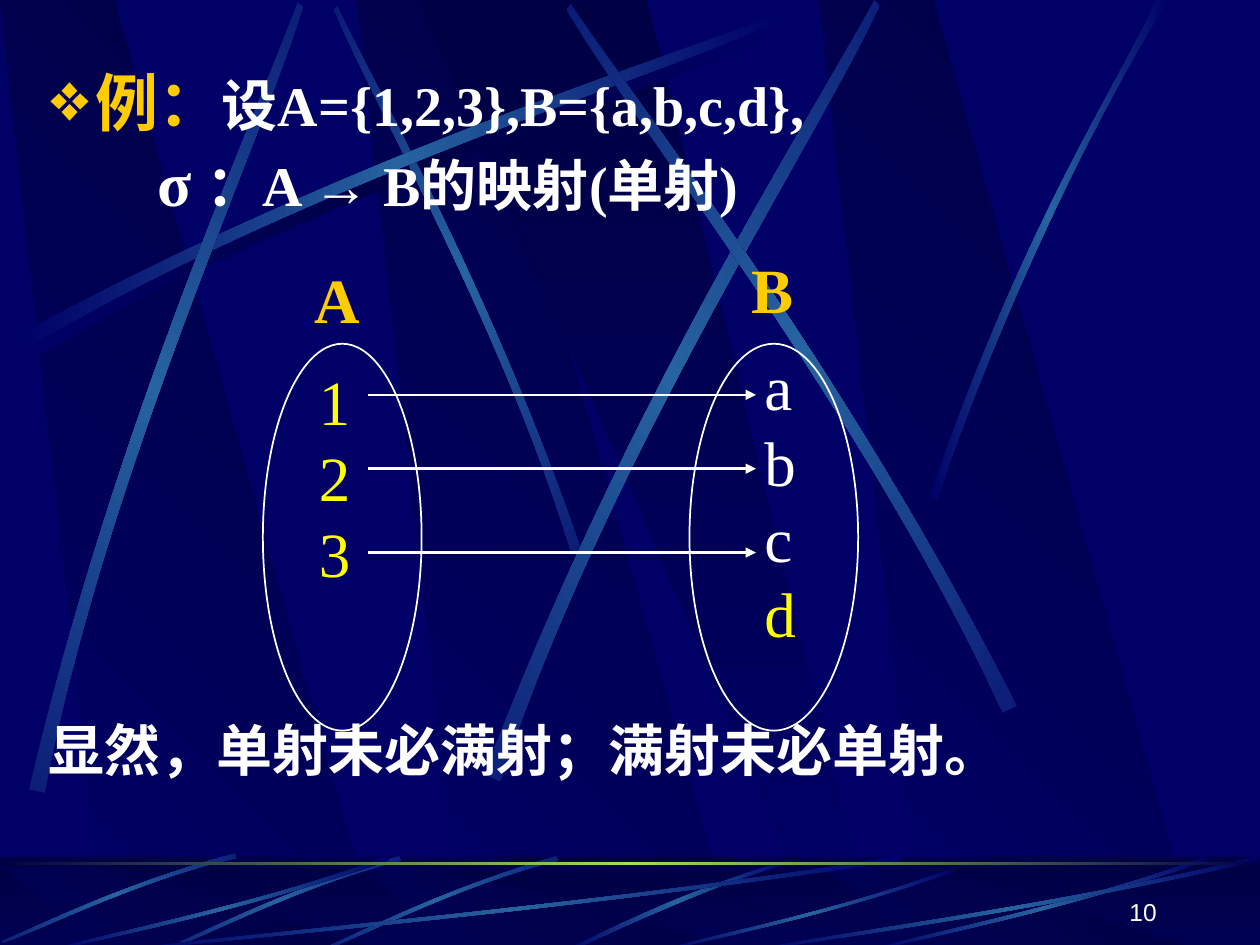
from lxml import etree
from pptx import Presentation
from pptx.dml.color import RGBColor
from pptx.enum.shapes import MSO_CONNECTOR, MSO_SHAPE
from pptx.enum.text import MSO_ANCHOR, MSO_AUTO_SIZE, PP_ALIGN
from pptx.oxml.ns import qn
from pptx.util import Cm, Pt

RECT, OVAL = MSO_SHAPE.RECTANGLE, MSO_SHAPE.OVAL
LINE = MSO_CONNECTOR.STRAIGHT
LEFT, RIGHT, JUST = PP_ALIGN.LEFT, PP_ALIGN.RIGHT, PP_ALIGN.JUSTIFY
TOP, BOTTOM = MSO_ANCHOR.TOP, MSO_ANCHOR.BOTTOM
SERIF, SANS = "Times New Roman", "Arial"

COLORS = {"navy": "000066", "dark": "000044", "steel": "2663A0", "lime": "9CE157",
          "white": "FFFFFF", "gold": "FFCC00", "yellow": "FFFF00"}
GLOW = ("navy", "steel", "navy")
SHADE = ("navy", "dark", "navy")
FADE = ("navy", "dark")
RISE = ("dark", "navy")

# Outlines as fractions of their box
PANEL = [(0.28, 1), (1, 1), (0.3, 0), (0, 0)]
CROSS = [(0, 0), (0.9, 1), (1, 1), (0.5, 0)]
# Two Bezier edges of four points each
BEAM = [(0, 0.96), (0.43, 0.43), (0.83, 0.15), (1, 0),
        (1, 0.02), (0.84, 0.19), (0.38, 0.5), (0.01, 1)]
BEND = [(0, 0.99), (0.4, 0.44), (0.79, 0.17), (0.95, 0),
        (1, 0), (0.52, 0.37), (0.16, 0.81), (0.03, 1)]
REED = [(1, 0), (0.49, 0.37), (0.16, 0.82), (0, 0.99),
        (0.03, 1), (0.23, 0.77), (0.68, 0.25), (1, 0.04)]


def rgb(name):
    return RGBColor.from_string(COLORS[name])


def shade(shape, stops, angle):
    """Fill with evenly spaced gradient stops; the angle runs clockwise."""
    shape.shadow.inherit = False
    shape.line.fill.background()
    shape.fill.gradient()
    shape.fill.gradient_angle = -angle % 360
    group = shape._element.spPr.find(qn("a:gradFill")).find(qn("a:gsLst"))
    for old in list(group):
        group.remove(old)
    for i, name in enumerate(stops):
        stop = etree.SubElement(group, qn("a:gs"), pos=str(100000 * i // (len(stops) - 1)))
        etree.SubElement(stop, qn("a:srgbClr"), val=COLORS[name])


def outline(slide, points, box, stops, angle=0):
    x, y, w, h = box
    spots = [(Cm(x + w * px), Cm(y + h * py)) for px, py in points]
    form = slide.shapes.build_freeform(*spots[0])
    form.add_line_segments(spots[1:])
    shape = form.convert_to_shape()
    shade(shape, stops, angle)
    return shape


def bow(shape):
    """Turn the two long edges of an eight-point outline into Bezier curves."""
    steps = list(shape._element.iter(qn("a:lnTo")))
    for edge in (steps[:3], steps[4:]):
        bend = etree.Element(qn("a:cubicBezTo"))
        edge[0].addprevious(bend)
        for step in edge:
            bend.append(step[0])
            step.getparent().remove(step)


def streak(slide, box, turn=0, flip=(False, False), edges=BEAM, stops=GLOW):
    points = [tuple(1 - v if f else v for v, f in zip(p, flip)) for p in edges]
    shape = outline(slide, points, box, stops)
    bow(shape)
    shape.rotation = turn


def bar(slide, y, h, stops, angle):
    shape = slide.shapes.add_shape(RECT, 0, Cm(y), Cm(25.4), Cm(h))
    shade(shape, stops, angle)
    return shape


def panels(slide, y, h):
    for x in (7.19, 0, 16.51):
        outline(slide, PANEL, (x, y, 7.67, h), FADE, 315)
    outline(slide, CROSS, (8.46, y, 9.17, h), RISE, 90)


def backdrop(slide):
    slide.background.fill.solid()
    slide.background.fill.fore_color.rgb = rgb("navy")
    mirror, about = (True, False), (True, True)

    panels(slide, 0, 19.1)
    streak(slide, (0.51, 0.46, 15.44, 6.78), stops=SHADE)
    streak(slide, (3.58, 3.45, 11.23, 4.45), 45, mirror)
    streak(slide, (0.36, 0.25, 15.44, 6.78))
    streak(slide, (-4.32, 4.68, 15.44, 6.78), 311.7)
    streak(slide, (5.87, 4.1, 15.85, 7.65), 321.6)
    streak(slide, (8.2, 3.88, 15.44, 6.78), 34.7, mirror)
    streak(slide, (18.75, 0, 4.8, 10.08), edges=BEND)

    bar(slide, 17.27, 1.9, RISE, 90)
    panels(slide, 17.48, 1.68)
    veil = bar(slide, 17.27, 1.9, RISE, 90)
    veil.fill.solid()
    veil.fill.fore_color.rgb = rgb("dark")
    tint = veil._element.spPr.find(qn("a:solidFill"))[0]
    etree.SubElement(tint, qn("a:alpha"), val="50000")
    streak(slide, (11.38, 17.32, 4.57, 1.85), edges=REED)
    for box in ((6.55, 17.17, 4.67, 2.11), (3.38, 17.17, 4.67, 2.11), (0.13, 17.04, 4.57, 2.16)):
        streak(slide, box, 315, mirror)
    for x, y, w in ((2.54, 17.27, 15.67), (1.07, 17.27, 6.78), (13.39, 17.5, 5.87),
                    (17.58, 17.27, 6.78), (15.24, 17.27, 10.16)):
        streak(slide, (x, y, w, 19.17 - y), flip=about)
    bar(slide, 17.37, 0.06, ("dark", "lime", "dark"), 0)


def write(slide, box, lines, font=SERIF, bold=False, align=LEFT, wrap=True, anchor=TOP):
    """Each line is a list of (text, size, color) runs."""
    frame = slide.shapes.add_textbox(*map(Cm, box)).text_frame
    frame.word_wrap = wrap
    frame.vertical_anchor = anchor
    if not wrap:
        frame.auto_size = MSO_AUTO_SIZE.SHAPE_TO_FIT_TEXT
    for i, runs in enumerate(lines):
        para = frame.add_paragraph() if i else frame.paragraphs[0]
        para.alignment = align
        para.font.name, para.font.bold = font, bold
        for text, size, color in runs:
            run = para.add_run()
            run.text = text
            run.font.size, run.font.color.rgb = Pt(size), rgb(color)
    return frame.paragraphs


def bullet(para):
    props = para._p.get_or_add_pPr()
    props.set("marL", str(Cm(0.95)))
    props.set("indent", str(Cm(-0.95)))
    tint = etree.SubElement(props, qn("a:buClr"))
    etree.SubElement(tint, qn("a:srgbClr"), val=COLORS["gold"])
    etree.SubElement(props, qn("a:buSzPct"), val="85000")
    etree.SubElement(props, qn("a:buFont"), typeface=SERIF)
    etree.SubElement(props, qn("a:buChar"), char="❖")


def body(slide):
    head, sigma, note = write(slide, (0.73, 1.33, 24.05, 15.72), [
        [("例：", 36, "gold"), ("设A={1,2,3},B={a,b,c,d},", 32, "white")],
        [("σ", 36, "white"), (" ：A → B的映射(单射)", 32, "white")],
        [("显然，单射未必满射；满射未必单射。", 32, "white")],
    ], bold=True, align=JUST)
    for para, gap in ((head, 0), (sigma, 7), (note, 287)):
        para.line_spacing = 0.9
        para.space_before = Pt(gap)
    bullet(head)
    sigma._p.get_or_add_pPr().set("marL", str(Cm(2.2)))


def column(slide, x, y, items, bold=False):
    """Stack (letter, color) items one to a line."""
    lines = [[(text, 36, color)] for text, color in items]
    box = (x, y, 1.2, 0.25 + 1.52 * len(items))
    for para in write(slide, box, lines, bold=bold, wrap=False):
        para.line_spacing = Pt(43.2)


def arrow(slide, y):
    link = slide.shapes.add_connector(LINE, Cm(7.41), Cm(y), Cm(15.24), Cm(y))
    link.line.color.rgb = rgb("white")
    link.line.width = Pt(1.5)
    etree.SubElement(link.line._get_or_add_ln(), qn("a:tailEnd"), type="triangle")
    etree.SubElement(link._element.spPr, qn("a:effectLst"))


def ring(slide, x, w):
    shape = slide.shapes.add_shape(OVAL, Cm(x), Cm(6.93), Cm(w), Cm(7.8))
    shape.shadow.inherit = False
    shape.fill.background()
    shape.line.color.rgb = rgb("white")
    shape.line.width = Pt(1)


def main():
    deck = Presentation()
    deck.slide_width, deck.slide_height = Cm(25.4), Cm(19.05)
    slide = deck.slides.add_slide(deck.slide_layouts[6])
    backdrop(slide)
    body(slide)
    column(slide, 6.18, 7.19, [(n, "yellow") for n in "123"])
    column(slide, 15.16, 6.89, [(n, "white") for n in "abc"] + [("d", "yellow")])
    for y in (7.96, 9.45, 11.14):
        arrow(slide, y)
    column(slide, 6.1, 5.12, [("A", "gold")], bold=True)
    column(slide, 14.91, 4.92, [("B", "gold")], bold=True)
    ring(slide, 5.3, 3.2)
    ring(slide, 13.9, 3.4)
    write(slide, (18.29, 17.53, 5.28, 1.27), [[("10", 14, "white")]],
          font=SANS, align=RIGHT, anchor=BOTTOM)
    deck.save("out.pptx")


if __name__ == "__main__":
    main()
